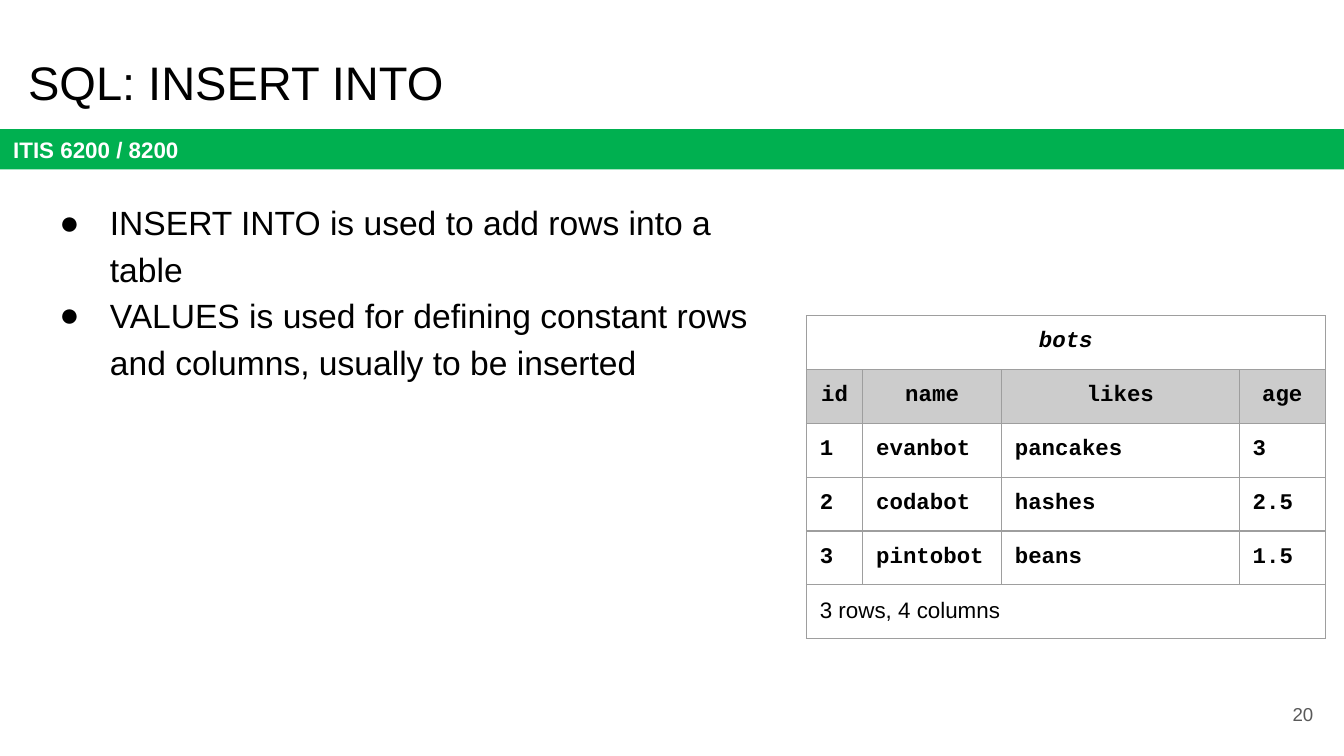
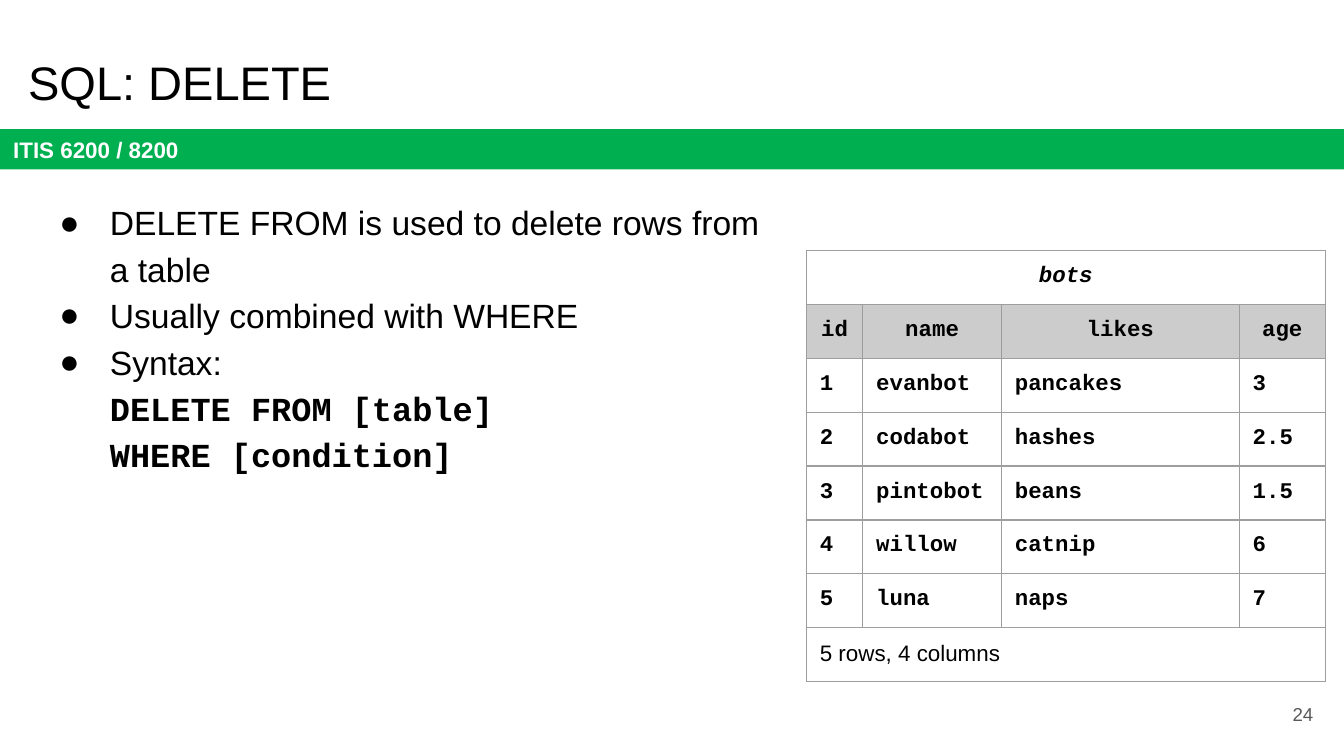
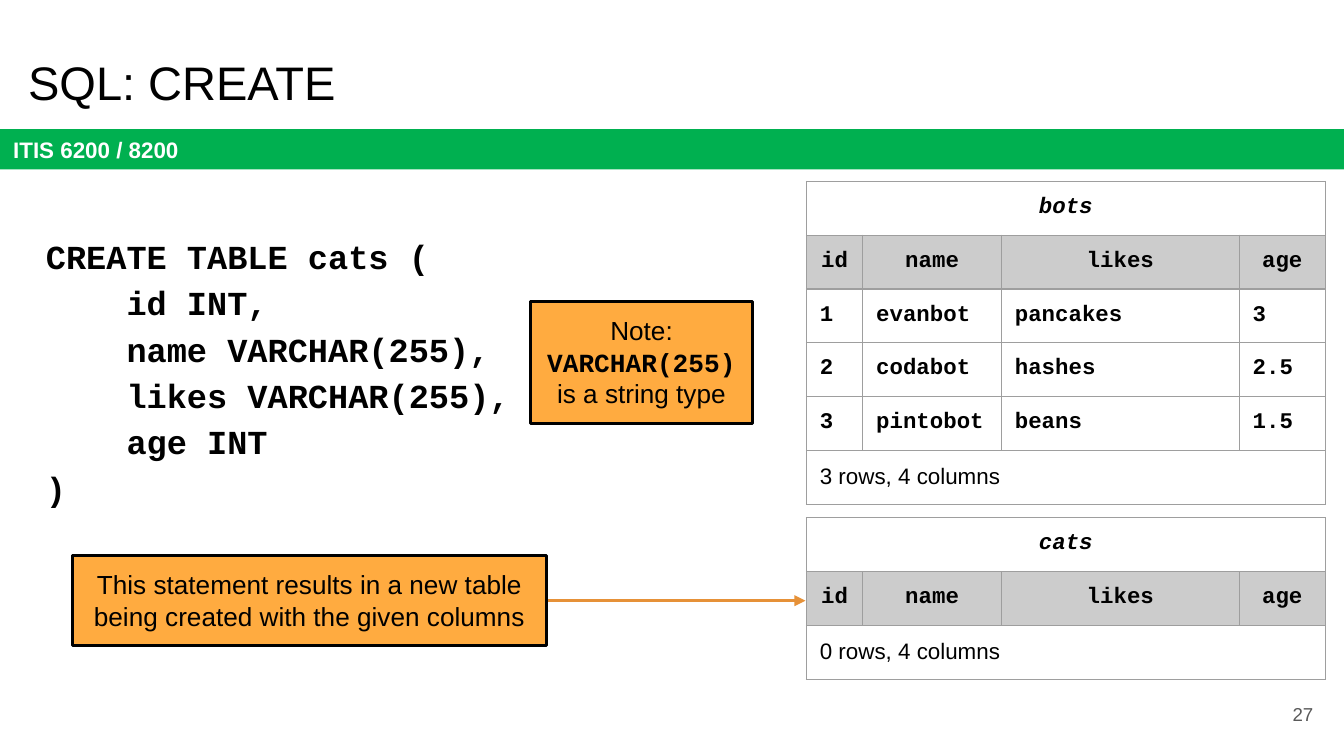
import pptx
import pptx.dml.color
import pptx.enum.shapes
import pptx.enum.text
import pptx.oxml
import pptx.oxml.ns
import pptx.util
from lxml import etree

Pt = pptx.util.Pt
PP_ALIGN = pptx.enum.text.PP_ALIGN
MSO_ANCHOR = pptx.enum.text.MSO_ANCHOR
qn = pptx.oxml.ns.qn

BLACK, WHITE, GREEN, ORANGE = "000000", "FFFFFF", "00B050", "FFAB40"
ARROW, HEADER, BORDER, GREY = "E69138", "CCCCCC", "9E9E9E", "595959"

TITLE = {"name": "Arial", "size": Pt(25.2), "color": BLACK}
BAND = {"name": "Arial", "size": Pt(12), "bold": True, "color": WHITE}
NUMBER = {"name": "Arial", "size": Pt(10), "color": GREY}
BODY = {"name": "Arial", "size": Pt(18), "color": BLACK}
CODE = {"name": "Courier New", "size": Pt(18), "bold": True, "color": BLACK}
NOTE = {"name": "Arial", "size": Pt(14), "color": BLACK}
NOTE_CODE = {**CODE, "size": Pt(14)}
CELL = {**CODE, "size": Pt(12)}
CAPTION = {**CELL, "italic": True}
SUMMARY = {"name": "Arial", "size": Pt(12), "color": BLACK}

INSETS = dict.fromkeys(
    ("margin_left", "margin_top", "margin_right", "margin_bottom"), Pt(7.2))
SPACED = {"line_spacing": 1.15}
CENTERED = {"alignment": PP_ALIGN.CENTER}

TABLE_LEFT, ROW_HEIGHT = 432, 27.9
COLUMN_WIDTHS = (30.2, 74.3, 127.4, 46.1)
COLUMNS = ("id", "name", "likes", "age")
BOTS = [
    ("1", "evanbot", "pancakes", "3"),
    ("2", "codabot", "hashes", "2.5"),
    ("3", "pintobot", "beans", "1.5"),
]
CATS = [
    ("4", "willow", "catnip", "6"),
    ("5", "luna", "naps", "7"),
]
CREATE = """CREATE TABLE cats (
    id INT,
    name VARCHAR(255),
    likes VARCHAR(255),
    age INT
)"""


def color(value):
    return pptx.dml.color.RGBColor.from_string(value)


def apply(obj, fmt):
    for key, value in fmt.items():
        setattr(obj, key, value)


def write(p, runs, fmt):
    apply(p, fmt)
    for text, font in runs:
        for i, line in enumerate(text.split("\n")):
            if i:
                p.add_line_break()
            if line:
                r = p.add_run()
                r.text = line
                apply(r.font, {k: v for k, v in font.items() if k != "color"})
                r.font.color.rgb = color(font["color"])


def add_bullet(p):
    pPr = p._p.get_or_add_pPr()
    pPr.set("marL", str(Pt(36)))
    pPr.set("indent", str(Pt(-27)))
    clr = etree.SubElement(pPr, qn("a:buClr"))
    etree.SubElement(clr, qn("a:srgbClr"), val=BLACK)
    etree.SubElement(pPr, qn("a:buFont"), typeface="Arial")
    etree.SubElement(pPr, qn("a:buChar"), char="●")


def fill_frame(tf, paragraphs, fmt, anchor=MSO_ANCHOR.TOP, bullets=False):
    apply(tf, {**INSETS, "word_wrap": True, "vertical_anchor": anchor})
    for i, runs in enumerate(paragraphs):
        p = tf.add_paragraph() if i else tf.paragraphs[0]
        if bullets:
            add_bullet(p)
        write(p, runs, fmt)


def add_text(s, box, paragraphs, fmt={}, **options):
    sp = s.shapes.add_textbox(*map(Pt, box))
    fill_frame(sp.text_frame, paragraphs, fmt, **options)


def add_box(s, box, runs, fill, fmt, line=None, **options):
    sp = s.shapes.add_shape(
        pptx.enum.shapes.MSO_SHAPE.RECTANGLE, *map(Pt, box))
    sp.shadow.inherit = False
    sp.fill.solid()
    sp.fill.fore_color.rgb = color(fill)
    if line:
        sp.line.color.rgb = color(line)
        sp.line.width = Pt(1.5)
    else:
        sp.line.fill.background()
    fill_frame(sp.text_frame, [runs], fmt, **options)


def add_callout(s, box, runs):
    add_box(s, box, runs, ORANGE, CENTERED, line=BLACK)


def add_arrow(s, x1, x2, y):
    cxn = s.shapes.add_connector(
        pptx.enum.shapes.MSO_CONNECTOR.STRAIGHT, Pt(x1), Pt(y), Pt(x2), Pt(y))
    cxn.line.color.rgb = color(ARROW)
    cxn.line.width = Pt(1.5)
    spPr = cxn.element.spPr
    etree.SubElement(spPr.find(qn("a:ln")), qn("a:tailEnd"), type="triangle")
    etree.SubElement(spPr, qn("a:effectLst"))


def style_cell(cell, fill):
    apply(cell, INSETS)
    tcPr = cell._tc.get_or_add_tcPr()
    for side in ("lnL", "lnR", "lnT", "lnB"):
        ln = etree.SubElement(tcPr, qn(f"a:{side}"), w=str(Pt(0.75)))
        solid = etree.SubElement(ln, qn("a:solidFill"))
        etree.SubElement(solid, qn("a:srgbClr"), val=BORDER)
    if fill:
        cell.fill.solid()
        cell.fill.fore_color.rgb = color(fill)
    else:
        cell.fill.background()


def add_sql_table(s, top, name, records):
    summary = f"{len(records)} rows, {len(COLUMNS)} columns"
    rows = [(name,), COLUMNS, *records, (summary,)]
    last = len(rows) - 1
    tbl = s.shapes.add_table(
        len(rows), len(COLUMNS), Pt(TABLE_LEFT), Pt(top),
        Pt(sum(COLUMN_WIDTHS)), Pt(ROW_HEIGHT * len(rows))).table
    apply(tbl, {"first_row": False, "horz_banding": False})
    for column, width in zip(tbl.columns, COLUMN_WIDTHS):
        column.width = Pt(width)
    for i, values in enumerate(rows):
        tbl.rows[i].height = Pt(ROW_HEIGHT)
        for j in range(len(COLUMNS)):
            style_cell(tbl.cell(i, j), HEADER if i == 1 else None)
        if len(values) == 1:
            tbl.cell(i, 0).merge(tbl.cell(i, len(COLUMNS) - 1))
        font = {0: CAPTION, last: SUMMARY}.get(i, CELL)
        for j, value in enumerate(values):
            p = tbl.cell(i, j).text_frame.paragraphs[0]
            write(p, [(value, font)], CENTERED if i < 2 else {})


def add_slide(prs, title, number):
    s = prs.slides.add_slide(prs.slide_layouts[6])
    add_box(s, (0, 69.2, 720, 21.6), [("ITIS 6200 / 8200", BAND)], GREEN,
            {"alignment": PP_ALIGN.LEFT}, anchor=MSO_ANCHOR.MIDDLE)
    add_text(s, (8, 21.6, 671, 45.4), [[(title, TITLE)]])
    add_text(s, (667.4, 367.2, 43.2, 31), [[(number, NUMBER)]],
             {"alignment": PP_ALIGN.RIGHT}, anchor=MSO_ANCHOR.MIDDLE)
    return s


def add_bullets(s, paragraphs):
    add_text(s, (15.8, 98, 404.6, 296.6), paragraphs, SPACED, bullets=True)


def main():
    prs = pptx.Presentation()
    apply(prs, {"slide_width": Pt(720), "slide_height": Pt(405)})

    s = add_slide(prs, "SQL: INSERT INTO", "20")
    add_bullets(s, [
        [("INSERT INTO is used to add rows into a table", BODY)],
        [("VALUES is used for defining constant rows and columns, "
          "usually to be inserted", BODY)],
    ])
    add_sql_table(s, 169.2, "bots", BOTS)

    s = add_slide(prs, "SQL: DELETE", "24")
    add_bullets(s, [
        [("DELETE FROM is used to delete rows from a table", BODY)],
        [("Usually combined with WHERE", BODY)],
        [("Syntax:\n", BODY),
         ("DELETE FROM [table]\nWHERE [condition]", CODE)],
    ])
    add_sql_table(s, 134.4, "bots", BOTS + CATS)

    s = add_slide(prs, "SQL: CREATE", "27")
    add_sql_table(s, 97.2, "bots", BOTS)
    add_sql_table(s, 277.4, "cats", [])
    add_text(s, (17.5, 116, 330.5, 162), [[(CREATE, CODE)]],
             {**SPACED, "space_after": Pt(12)})
    add_arrow(s, 292.5, 431.5, 321.8)
    add_callout(s, (38.8, 297.5, 254, 48.2), [
        ("This statement results in a new table being created "
         "with the given columns", NOTE)])
    add_callout(s, (284.2, 161.4, 119, 65.4), [
        ("Note: ", NOTE), ("VARCHAR(255)", NOTE_CODE),
        (" is a string type", NOTE)])

    prs.save("out.pptx")


if __name__ == "__main__":
    main()
